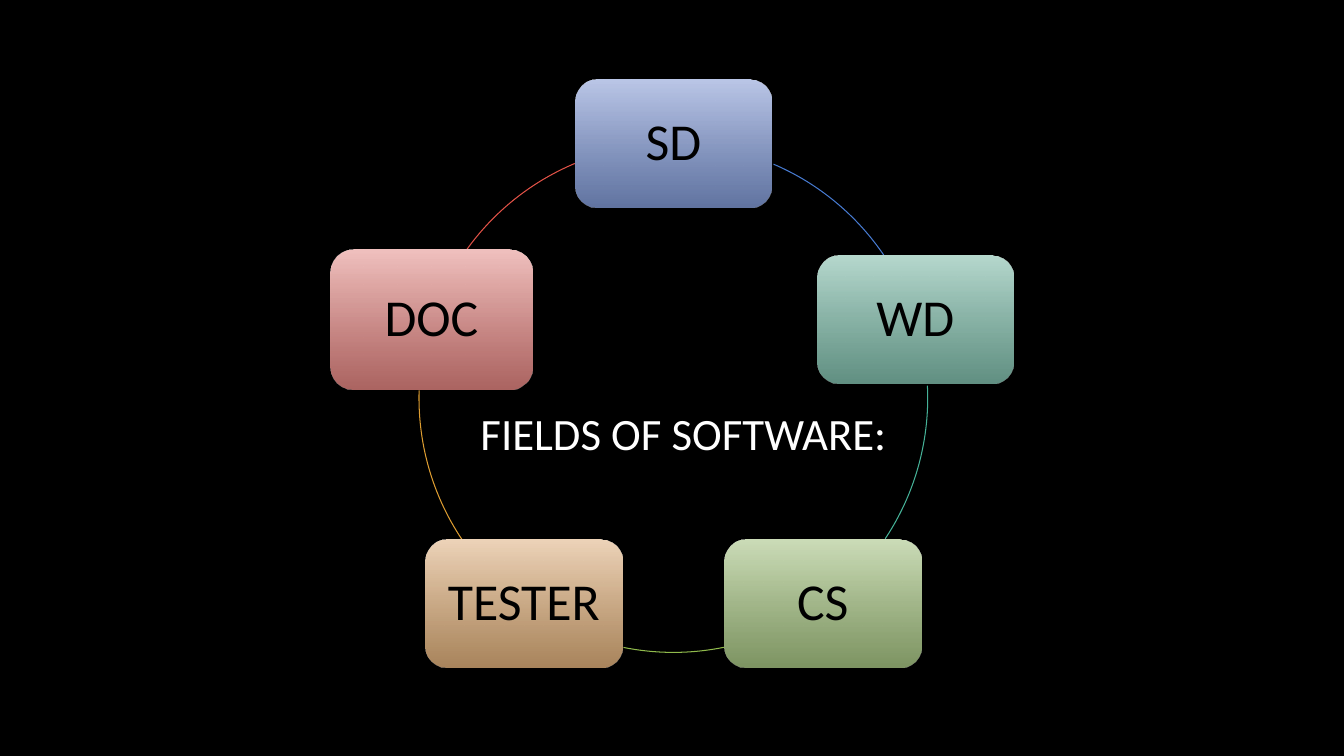
from math import cos, radians, sin
from lxml import etree
from pptx import Presentation
from pptx.dml.color import RGBColor
from pptx.enum.shapes import MSO_SHAPE
from pptx.enum.text import MSO_ANCHOR, PP_ALIGN
from pptx.oxml.ns import qn
from pptx.util import Cm, Pt

ROUNDED, ARC = MSO_SHAPE.ROUNDED_RECTANGLE, MSO_SHAPE.ARC
MIDDLE, CENTER = MSO_ANCHOR.MIDDLE, PP_ALIGN.CENTER
BLACK, WHITE = RGBColor(0, 0, 0), RGBColor(255, 255, 255)
color = RGBColor.from_string

TITLE = "FIELDS OF SOFTWARE:"
NODE_SIZE, DOC_SIZE = (4.95, 3.23), (5.11, 3.51)
FIELDS = [
    ("SD", NODE_SIZE, color("BCC8E9"), color("859EDA")),
    ("WD", NODE_SIZE, color("B7DACF"), color("85C3B1")),
    ("CS", NODE_SIZE, color("CDDEB9"), color("ABC987")),
    ("TESTER", NODE_SIZE, color("EFD5BA"), color("E4B47E")),
    ("DOC", DOC_SIZE, color("F2C2C0"), color("E88985")),
]
ARCS = [
    (-66.8, -34.2, color("477BD1")),
    (-2.8, 33.6, color("46B298")),
    (78.5, 101.3, color("90BA4C")),
    (146.2, 181.7, color("DD9D31")),
    (215.8, 247.2, color("E25247")),
]
CENTER_X, CENTER_Y, RADIUS = 16.97, 10.03, 6.41
ADJUSTMENT_PER_DEGREE = 0.6
END_ALPHA = "74000"


def apply(target, values):
    for name, value in values.items():
        setattr(target, name, value)


def add_centered(kind, x, y, width, height):
    shape = slide.shapes.add_shape(
        kind, Cm(x - width / 2), Cm(y - height / 2), Cm(width), Cm(height))
    shape.shadow.inherit = False
    return shape


def write(shape, text, size, font_color, frame_format, paragraph_format):
    apply(shape.text_frame, frame_format)
    paragraph = shape.text_frame.paragraphs[0]
    apply(paragraph, paragraph_format)
    run = paragraph.add_run()
    run.text = text
    apply(run.font, {"name": "Calibri", "size": Pt(size)})
    run.font.color.rgb = font_color


def add_arc(start, end, line_color):
    arc = add_centered(ARC, CENTER_X, CENTER_Y, 2 * RADIUS, 2 * RADIUS)
    for index, angle in enumerate((start, end)):
        arc.adjustments[index] = angle % 360 * ADJUSTMENT_PER_DEGREE
    arc.fill.background()
    arc.line.color.rgb = line_color
    arc.line.width = Pt(0.75)


def add_node(index, text, size, top_color, bottom_color):
    angle = radians(360 / len(FIELDS) * index - 90)
    node = add_centered(ROUNDED, CENTER_X + RADIUS * cos(angle),
                        CENTER_Y + RADIUS * sin(angle), *size)
    node.line.fill.background()
    node.fill.gradient()
    node.fill.gradient_angle = 270
    stops = zip(node.fill.gradient_stops, (0, 1), (top_color, bottom_color))
    for stop, position, stop_color in stops:
        stop.position = position
        stop.color.rgb = stop_color
    last_color = node._element.spPr.findall(".//" + qn("a:srgbClr"))[-1]
    etree.SubElement(last_color, qn("a:alpha")).set("val", END_ALPHA)
    write(node, text, 37, BLACK,
          {"word_wrap": False, "vertical_anchor": MIDDLE},
          {"alignment": CENTER, "line_spacing": 0.9})


presentation = Presentation()
apply(presentation, {"slide_width": Cm(33.87), "slide_height": Cm(19.05)})
slide = presentation.slides.add_slide(presentation.slide_layouts[6])
slide.background.fill.solid()
slide.background.fill.fore_color.rgb = BLACK

for arc_values in ARCS:
    add_arc(*arc_values)
for index, field in enumerate(FIELDS):
    add_node(index, *field)

title = slide.shapes.add_textbox(Cm(11.86), Cm(10.11), Cm(16.94), Cm(1.62))
write(title, TITLE, 32, WHITE, {"word_wrap": True}, {})

presentation.save("out.pptx")
